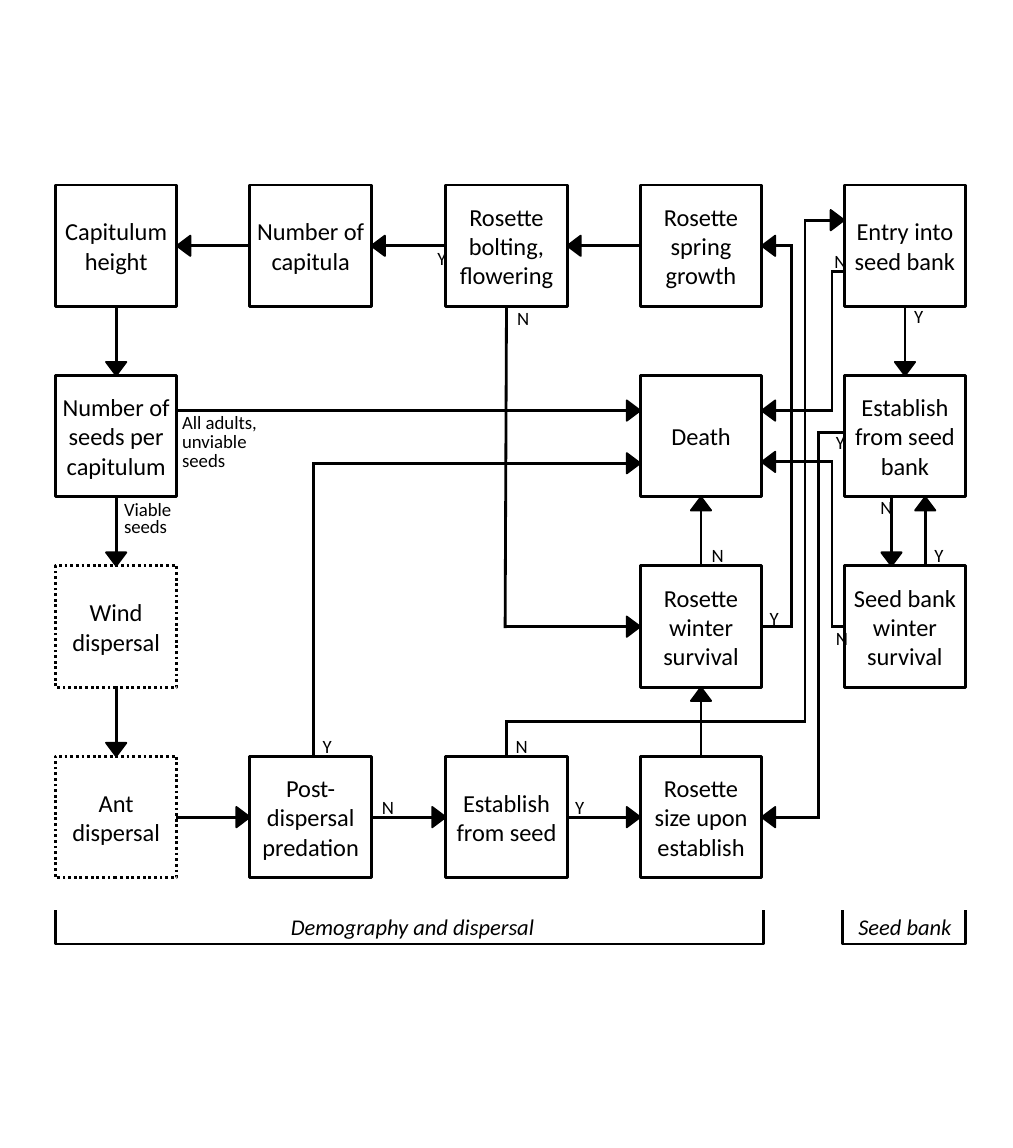
from itertools import pairwise

from lxml import etree
from pptx import Presentation
from pptx.dml.color import RGBColor
from pptx.enum.dml import MSO_LINE
from pptx.enum.shapes import MSO_CONNECTOR, MSO_SHAPE
from pptx.enum.text import MSO_ANCHOR, MSO_AUTO_SIZE, PP_ALIGN
from pptx.oxml.ns import qn
from pptx.util import Pt

PX = 9144  # 100 px to the inch
TOP, LEFT, BOTTOM, RIGHT = range(4)
RECT, TRIANGLE = MSO_SHAPE.RECTANGLE, MSO_SHAPE.ISOSCELES_TRIANGLE
BRACKET = MSO_SHAPE.RIGHT_BRACKET
STRAIGHT, DOTTED = MSO_CONNECTOR.STRAIGHT, MSO_LINE.ROUND_DOT
CENTER, ALIGN_LEFT = PP_ALIGN.CENTER, PP_ALIGN.LEFT
MIDDLE, GROW = MSO_ANCHOR.MIDDLE, MSO_AUTO_SIZE.SHAPE_TO_FIT_TEXT
COLORS = {"ink": "000000", "paper": "FFFFFF"}

BOX = 90
COLUMNS = [41, 185, 330, 474, 625]
ROWS = [137, 278, 419, 560]
HEAD_WIDTH, HEAD_LENGTH = 15, 10

# name: (column, row, lines of text)
STAGES = {
    "height": (0, 0, "Capitulum\nheight"),
    "capitula": (1, 0, "Number of\ncapitula"),
    "bolting": (2, 0, "Rosette\nbolting,\nflowering"),
    "growth": (3, 0, "Rosette\nspring\ngrowth"),
    "entry": (4, 0, "Entry into\nseed bank"),
    "seeds": (0, 1, "Number of\nseeds per\ncapitulum"),
    "death": (3, 1, "Death"),
    "bank": (4, 1, "Establish\nfrom seed\nbank"),
    "wind": (0, 2, "Wind\ndispersal"),
    "winter": (3, 2, "Rosette\nwinter\nsurvival"),
    "bank winter": (4, 2, "Seed bank\nwinter\nsurvival"),
    "ant": (0, 3, "Ant\ndispersal"),
    "predation": (1, 3, "Post-\ndispersal\npredation"),
    "establish": (2, 3, "Establish\nfrom seed"),
    "size": (3, 3, "Rosette\nsize upon\nestablish"),
}
DOTTED_STAGES = {"wind", "ant"}

# each stop is a (stage, side) or an (x, y); the arrowhead is at the last stop
ROUTES = [
    [("growth", LEFT), ("bolting", RIGHT)],
    [("bolting", LEFT), ("capitula", RIGHT)],
    [("capitula", LEFT), ("height", RIGHT)],
    [("height", BOTTOM), ("seeds", TOP)],
    [("seeds", BOTTOM), ("wind", TOP)],
    [("wind", BOTTOM), ("ant", TOP)],
    [("ant", RIGHT), ("predation", LEFT)],
    [("predation", RIGHT), ("establish", LEFT)],
    [("establish", RIGHT), ("size", LEFT)],
    [("size", TOP), ("winter", BOTTOM)],
    [("winter", TOP), ("death", BOTTOM)],
    [("entry", BOTTOM), ("bank", TOP)],
    [(660, 368), (660, 419)],
    [(685, 419), (685, 368)],
    [(131, 304), (474, 304)],
    [(232, 560), (232, 343), (474, 343)],
    [("bolting", BOTTOM), (374, 464), ("winter", LEFT)],
    [("winter", RIGHT), (586, 464), (586, 182), ("growth", RIGHT)],
    [("establish", TOP), (375, 534), (596, 534), (596, 163), (625, 163)],
    [(625, 201), (616, 201), (616, 304), (564, 304)],
    [("bank winter", LEFT), (616, 464), (616, 342), (564, 342)],
    [(625, 320), (606, 320), (606, 605), ("size", RIGHT)],
]
ANSWERS = {
    "Y": [(416, 584), (667, 221), (609, 314), (314, 178), (229, 539), (560, 444), (682, 398)],
    "N": [(273, 584), (608, 180), (642, 362), (609, 459), (517, 398), (373, 222), (372, 539)],
}


def locate(stop):
    """Return the (x, y) of a stop."""
    if not isinstance(stop[0], str):
        return stop
    stage, side = stop
    column, row, _ = STAGES[stage]
    half = BOX // 2
    dx, dy = [(half, 0), (0, half), (half, BOX), (BOX, half)][side]
    return COLUMNS[column] + dx, ROWS[row] + dy


class Flowchart:
    font = "Calibri"
    line_width = Pt(1.5)

    def __init__(self, page):
        self.shapes = page.shapes
        self.boxes = {}

    def color(self, name):
        return RGBColor.from_string(COLORS[name])

    def shape(self, kind, left, top, width, height, fill=None, line_width=None):
        shape = self.shapes.add_shape(kind, *(round(n * PX) for n in (left, top, width, height)))
        shape.shadow.inherit = False
        if fill:
            shape.fill.solid()
            shape.fill.fore_color.rgb = self.color(fill)
        else:
            shape.fill.background()
        shape.line.color.rgb = self.color("ink")
        shape.line.width = line_width or self.line_width
        return shape

    def set_text(self, frame, text, size, align=CENTER, italic=False, spacing=None):
        frame.text = text
        for para in frame.paragraphs:
            para.alignment = align
            if spacing:
                para.line_spacing = Pt(spacing)
            para.font.name = self.font
            para.font.size = Pt(size)
            para.font.italic = italic
            para.font.color.rgb = self.color("ink")

    def stage(self, name):
        column, row, text = STAGES[name]
        box = self.shape(RECT, COLUMNS[column], ROWS[row], BOX, BOX, "paper")
        if name in DOTTED_STAGES:
            box.line.dash_style = DOTTED
        box.text_frame.word_wrap = False
        box.text_frame.vertical_anchor = MIDDLE
        self.set_text(box.text_frame, text, 13)
        self.boxes[name] = box

    def arrowhead(self, route):
        (x0, y0), (x, y) = map(locate, route[-2:])
        if abs(x - x0) > abs(y - y0):
            step_x, step_y, turn = (1, 0, 90) if x > x0 else (-1, 0, 270)
        else:
            step_x, step_y, turn = (0, 1, 180) if y > y0 else (0, -1, 0)
        middle_x = x - step_x * HEAD_LENGTH / 2
        middle_y = y - step_y * HEAD_LENGTH / 2
        head = self.shape(TRIANGLE, middle_x - HEAD_WIDTH / 2, middle_y - HEAD_LENGTH / 2,
                          HEAD_WIDTH, HEAD_LENGTH, "ink", Pt(1))
        head.rotation = turn

    def route(self, stops):
        for start, end in pairwise(stops):
            ends = [n * PX for n in (*locate(start), *locate(end))]
            line = self.shapes.add_connector(STRAIGHT, *ends)
            line.line.color.rgb = self.color("ink")
            line.line.width = self.line_width
            properties = line.element.spPr
            properties.find(qn("a:ln")).set("cap", "sq")
            etree.SubElement(properties, qn("a:effectLst"))
            for stop, connect in ((start, line.begin_connect), (end, line.end_connect)):
                if stop[0] in self.boxes:
                    connect(self.boxes[stop[0]], stop[1])

    def label(self, text, left, top, width, height, size=10, **style):
        box = self.shapes.add_textbox(*(n * PX for n in (left, top, width, height)))
        box.text_frame.word_wrap = True
        box.text_frame.auto_size = GROW
        self.set_text(box.text_frame, text, size, **style)

    def bracket(self, left, top, width, height):
        """Draw a square bracket, open at the top, over the given area."""
        shift = (width - height) / 2
        bracket = self.shape(BRACKET, left + shift, top - shift, height, width)
        bracket.adjustments[0] = 0
        bracket.rotation = 90


def main():
    deck = Presentation()
    deck.slide_width, deck.slide_height = 750 * PX, 850 * PX
    chart = Flowchart(deck.slides.add_slide(deck.slide_layouts[6]))

    for route in ROUTES:
        chart.arrowhead(route)
    for name in STAGES:
        chart.stage(name)
    for route in ROUTES:
        chart.route(route)

    for answer, places in ANSWERS.items():
        for left, top in places:
            chart.label(answer, left, top, 20, 27)
    chart.label("All adults,\nunviable\nseeds", 125, 302, 171, 52, align=ALIGN_LEFT, spacing=10)
    chart.label("Viable\nseeds", 82, 368, 124, 36, align=ALIGN_LEFT, spacing=9)

    chart.bracket(41, 674, 524, 25)
    chart.bracket(624, 674, 91, 25)
    chart.label("Demography and dispersal", 99, 671, 413, 30, size=12, italic=True)
    chart.label("Seed bank", 621, 671, 98, 30, size=12, italic=True)

    deck.save("out.pptx")


if __name__ == "__main__":
    main()
